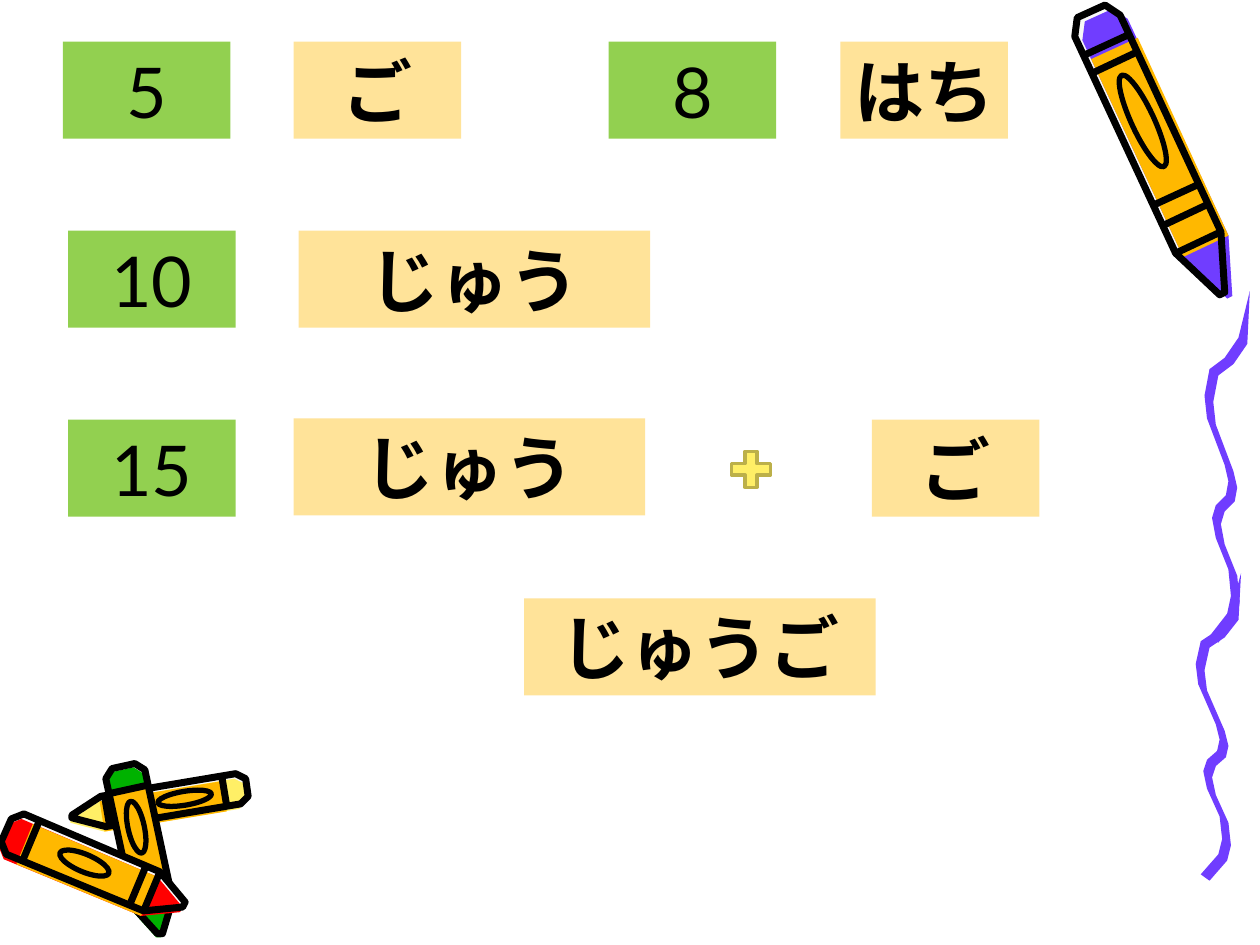
from dataclasses import dataclass
from math import atan2, degrees, hypot

from lxml.etree import SubElement
from pptx import Presentation
from pptx.dml.color import RGBColor
from pptx.enum.shapes import MSO_CONNECTOR, MSO_SHAPE
from pptx.enum.text import MSO_ANCHOR, PP_ALIGN
from pptx.oxml.ns import qn
from pptx.util import Pt

EMU_PER_PX = 9144


@dataclass(frozen=True)
class Theme:
    black: str = "000000"
    paper: str = "F8F8F8"
    violet: str = "703DFF"
    orange: str = "FFB800"
    yellow: str = "FFEF66"
    red: str = "FF0000"
    green: str = "00B200"
    number_fill: str = "92D050"
    word_fill: str = "FFE399"
    plus_line: str = "BCB049"
    number_font: str = "Lato"
    word_font: str = "Noto Sans CJK JP"
    card_size: int = 40
    plus_width: int = 2
    ink_width: int = 4
    label_width: int = 3


THEME = Theme()


@dataclass(frozen=True)
class Crayon:
    colour: str
    cap: tuple
    tip: tuple
    half_width: int
    bands: tuple
    label_at: float
    label_size: tuple
    colour_shift: tuple

    def point(self, along, across):
        run, rise = self.tip[0] - self.cap[0], self.tip[1] - self.cap[1]
        reach = across * self.half_width / hypot(run, rise)
        x = self.cap[0] + along * run - reach * rise
        y = self.cap[1] + along * rise + reach * run
        return round(x), round(y)

    def outline(self, profile, shift=(0, 0)):
        corners = [self.point(along, across) for along, across in profile]
        return [(x + shift[0], y + shift[1]) for x, y in corners]

    def angle(self):
        return degrees(atan2(self.tip[1] - self.cap[1], self.tip[0] - self.cap[0]))


def mirrored(half_profile):
    return half_profile + [(along, -across) for along, across in reversed(half_profile)]


CRAYON_PROFILE = mirrored([(0, 0.6), (0.05, 1), (0.82, 1), (1, 0.1)])
WRAPPER_PROFILE = mirrored([(0.12, 1), (0.82, 1)])

BIG_CRAYON = Crayon(THEME.violet, (866, 9), (970, 233), 20, (0.12, 0.18, 0.65, 0.72, 0.82), 0.39, (80, 18), (6, 3))
YELLOW_CRAYON = Crayon(THEME.yellow, (196, 625), (57, 648), 12, (0.13, 0.8), 0.36, (43, 11), (-1, 4))
GREEN_CRAYON = Crayon(THEME.green, (98, 608), (127, 741), 16, (0.14,), 0.36, (42, 13), (-1, 3))
RED_CRAYON = Crayon(THEME.red, (5, 659), (146, 718), 17, (0.14, 0.74, 0.82), 0.44, (42, 14), (-2, 4))
CRAYONS = [BIG_CRAYON, YELLOW_CRAYON, GREEN_CRAYON, RED_CRAYON]

WAVE_HEIGHT = 239
WAVE = [(36, 0), (27, 32), (16, 46), (4, 54), (0, 72), (2, 88), (16, 120), (19, 132),
        (17, 141), (9, 148), (6, 157), (9, 171), (19, 193), (21, 211), (18, 223), (4, WAVE_HEIGHT)]
NIB = (7, 5)
SCRIBBLE_STROKES = [(949, 455, 239), (956, 231, 274)]

CARD_HEIGHT = 77
SHORT_CARD = 133
LONG_CARD = 279

NUMBER_CARDS = [("5", 50, 33), ("8", 483, 33), ("10", 54, 183), ("15", 54, 333)]
WORD_CARDS = [
    ("ご", 233, 33, SHORT_CARD),
    ("はち", 667, 33, SHORT_CARD),
    ("じゅう", 237, 183, LONG_CARD),
    ("じゅう", 233, 332, LONG_CARD),
    ("ご", 692, 333, SHORT_CARD),
    ("じゅうご", 416, 475, LONG_CARD),
]


def px(length):
    return length * EMU_PER_PX


def set_line(line, colour, width):
    line.color.rgb = RGBColor.from_string(colour)
    line.width = Pt(width)


def paint(shape, fill=None, line=None, line_width=0):
    shape.shadow.inherit = False
    if fill:
        shape.fill.solid()
        shape.fill.fore_color.rgb = RGBColor.from_string(fill)
    else:
        shape.fill.background()
    if line:
        set_line(shape.line, line, line_width)
    else:
        shape.line.fill.background()


def add_polygon(slide, points, **style):
    builder = slide.shapes.build_freeform(*points[0], scale=EMU_PER_PX)
    builder.add_line_segments(points[1:], close=True)
    paint(builder.convert_to_shape(), **style)


def add_preset(slide, preset, left, top, width, height, **style):
    shape = slide.shapes.add_shape(preset, px(left), px(top), px(width), px(height))
    paint(shape, **style)
    return shape


def add_band(slide, start, end):
    ends = [px(value) for value in (*start, *end)]
    connector = slide.shapes.add_connector(MSO_CONNECTOR.STRAIGHT, *ends)
    set_line(connector.line, THEME.black, THEME.ink_width)
    SubElement(connector._element.spPr, qn("a:effectLst"))


def add_crayon(slide, crayon):
    silhouette = crayon.outline(CRAYON_PROFILE)
    add_polygon(slide, silhouette, fill=THEME.paper)
    add_polygon(slide, crayon.outline(CRAYON_PROFILE, crayon.colour_shift), fill=crayon.colour)
    add_polygon(slide, crayon.outline(WRAPPER_PROFILE, crayon.colour_shift), fill=THEME.orange)
    add_polygon(slide, silhouette, line=THEME.black, line_width=THEME.ink_width)
    for along in crayon.bands:
        add_band(slide, crayon.point(along, -1), crayon.point(along, 1))
    center_x, center_y = crayon.point(crayon.label_at, 0)
    width, height = crayon.label_size
    label = add_preset(slide, MSO_SHAPE.OVAL, center_x - width // 2, center_y - height // 2,
                       width, height, line=THEME.black, line_width=THEME.label_width)
    label.rotation = crayon.angle()


def add_scribble_stroke(slide, left, top, height):
    stretch = height / WAVE_HEIGHT
    near_edge = [(left + x, round(top + y * stretch)) for x, y in WAVE]
    far_edge = [(x + NIB[0], y + NIB[1]) for x, y in near_edge[1:]]
    add_polygon(slide, near_edge + far_edge[::-1], fill=THEME.violet)


def add_card(slide, text, left, top, width, fill, font_name, bold):
    card = add_preset(slide, MSO_SHAPE.RECTANGLE, left, top, width, CARD_HEIGHT, fill=fill)
    frame = card.text_frame
    frame.word_wrap = True
    frame.vertical_anchor = MSO_ANCHOR.MIDDLE
    paragraph = frame.paragraphs[0]
    paragraph.alignment = PP_ALIGN.CENTER
    run = paragraph.add_run()
    run.text = text
    run.font.size = Pt(THEME.card_size)
    run.font.bold = bold
    run.font.color.rgb = RGBColor.from_string(THEME.black)
    run.font.name = font_name
    SubElement(run.font._element, qn("a:ea")).set("typeface", font_name)


def main():
    presentation = Presentation()
    presentation.slide_width = px(1000)
    presentation.slide_height = px(750)
    slide = presentation.slides.add_slide(presentation.slide_layouts[6])
    for crayon in CRAYONS:
        add_crayon(slide, crayon)
    for left, top, height in SCRIBBLE_STROKES:
        add_scribble_stroke(slide, left, top, height)
    for text, left, top in NUMBER_CARDS:
        add_card(slide, text, left, top, SHORT_CARD, THEME.number_fill, THEME.number_font, False)
    for text, left, top, width in WORD_CARDS:
        add_card(slide, text, left, top, width, THEME.word_fill, THEME.word_font, True)
    add_preset(slide, MSO_SHAPE.MATH_PLUS, 575, 353, 42, 39,
               fill=THEME.yellow, line=THEME.plus_line, line_width=THEME.plus_width)
    presentation.save("out.pptx")


if __name__ == "__main__":
    main()
